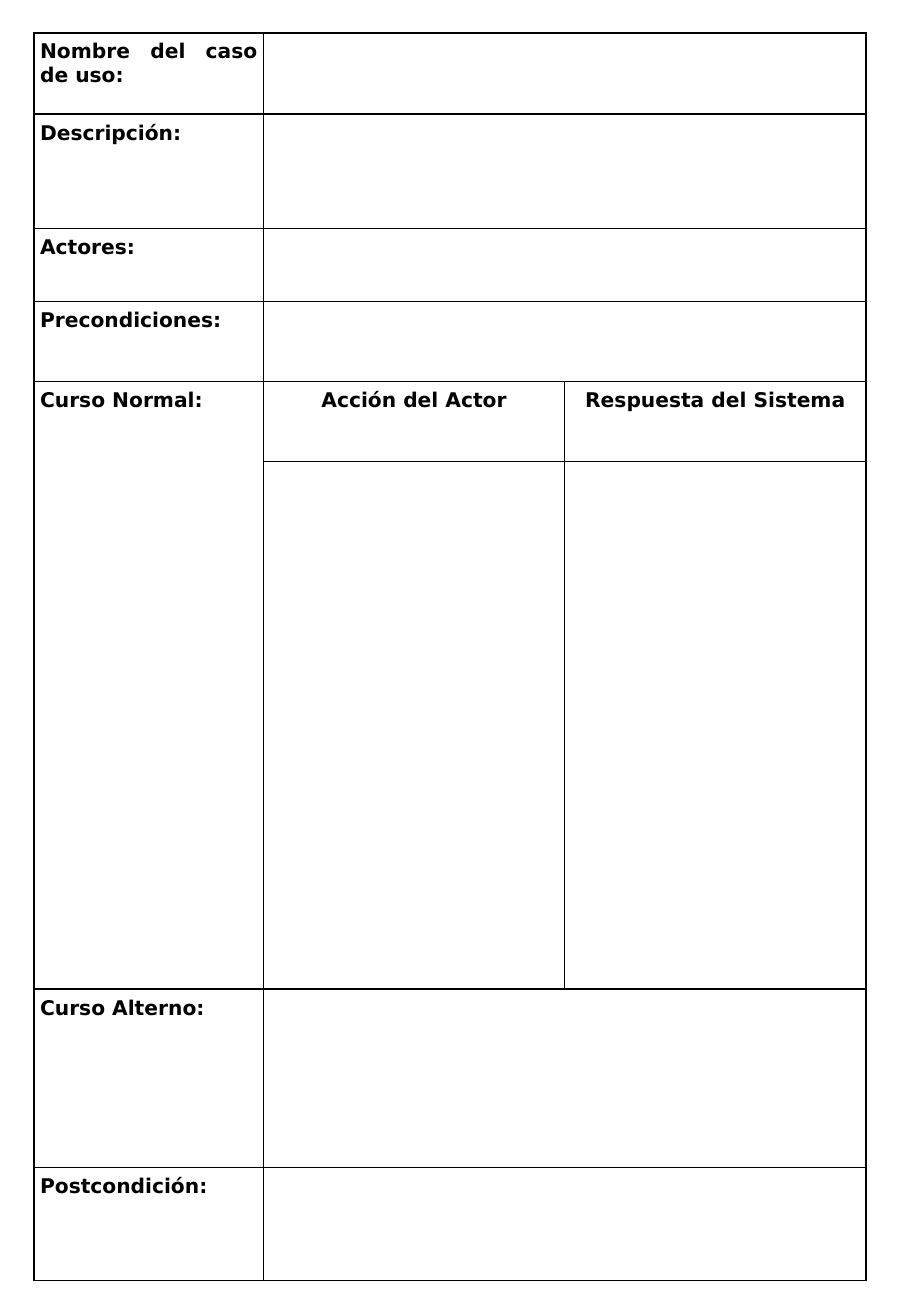
from lxml import etree
from pptx import Presentation
from pptx.dml.color import RGBColor
from pptx.enum.text import PP_ALIGN
from pptx.oxml.ns import qn
from pptx.util import Inches, Pt

JUSTIFY, CENTER = PP_ALIGN.JUSTIFY, PP_ALIGN.CENTER
COLORS = {"ink": "000000", "paper": "FFFFFF"}
FONT = "DejaVu Sans"
COL_WIDTHS = [1.89, 2.48, 2.48]
ROW_HEIGHTS = [0.67, 0.94, 0.6, 0.66, 0.66, 4.34, 1.47, 0.93]
FIELDS = {
    0: "Nombre del caso de uso: ",
    1: "Descripción:",
    2: "Actores: ",
    3: "Precondiciones: ",
    4: "Curso Normal:",
    6: "Curso Alterno:",
    7: "Postcondición:",
}
FLOW_ROW = 4
FLOW_HEADERS = ["Acción del Actor", "Respuesta del Sistema"]


def write(cell, text, align=JUSTIFY, size=12, bold=True, hanging=0):
    p = cell.text_frame.paragraphs[0]
    p.alignment = align
    if hanging:
        pPr = p._p.get_or_add_pPr()
        pPr.set("marL", str(Inches(hanging)))
        pPr.set("indent", str(-Inches(hanging)))
    r = p.add_run()
    r.text = text
    r.font.name = FONT
    r.font.size = Pt(size)
    r.font.bold = bold
    r.font.color.rgb = RGBColor.from_string(COLORS["ink"])


def style_cell(cell):
    cell.margin_left = cell.margin_right = Inches(0.05)
    cell.margin_top = cell.margin_bottom = Inches(0.06)
    tcPr = cell._tc.get_or_add_tcPr()
    for side in ("lnL", "lnR", "lnT", "lnB"):
        ln = etree.SubElement(tcPr, qn(f"a:{side}"), w=str(Pt(1)))
        fill = etree.SubElement(ln, qn("a:solidFill"))
        etree.SubElement(fill, qn("a:srgbClr"), val=COLORS["ink"])
    cell.fill.solid()
    cell.fill.fore_color.rgb = RGBColor.from_string(COLORS["paper"])


def add_use_case_table(slide, left, top):
    frame = slide.shapes.add_table(
        len(ROW_HEIGHTS), len(COL_WIDTHS), Inches(left), Inches(top),
        Inches(sum(COL_WIDTHS)), Inches(sum(ROW_HEIGHTS)))
    table = frame.table
    table.first_row = table.horz_banding = False
    for col, width in zip(table.columns, COL_WIDTHS):
        col.width = Inches(width)
    for row, height in zip(table.rows, ROW_HEIGHTS):
        row.height = Inches(height)
    for cell in table.iter_cells():
        style_cell(cell)

    for row, label in FIELDS.items():
        write(table.cell(row, 0), label, hanging=0.38 if row >= FLOW_ROW else 0)
        if row != FLOW_ROW:
            table.cell(row, 1).merge(table.cell(row, 2))
    table.cell(FLOW_ROW, 0).merge(table.cell(FLOW_ROW + 1, 0))
    for col, header in enumerate(FLOW_HEADERS, start=1):
        write(table.cell(FLOW_ROW, col), header, align=CENTER, hanging=0.38)


def main():
    prs = Presentation()
    prs.slide_width = Inches(7.5)
    prs.slide_height = Inches(10.83)
    slide = prs.slides.add_slide(prs.slide_layouts[6])
    add_use_case_table(slide, 0.28, 0.27)
    prs.save("out.pptx")


if __name__ == "__main__":
    main()
